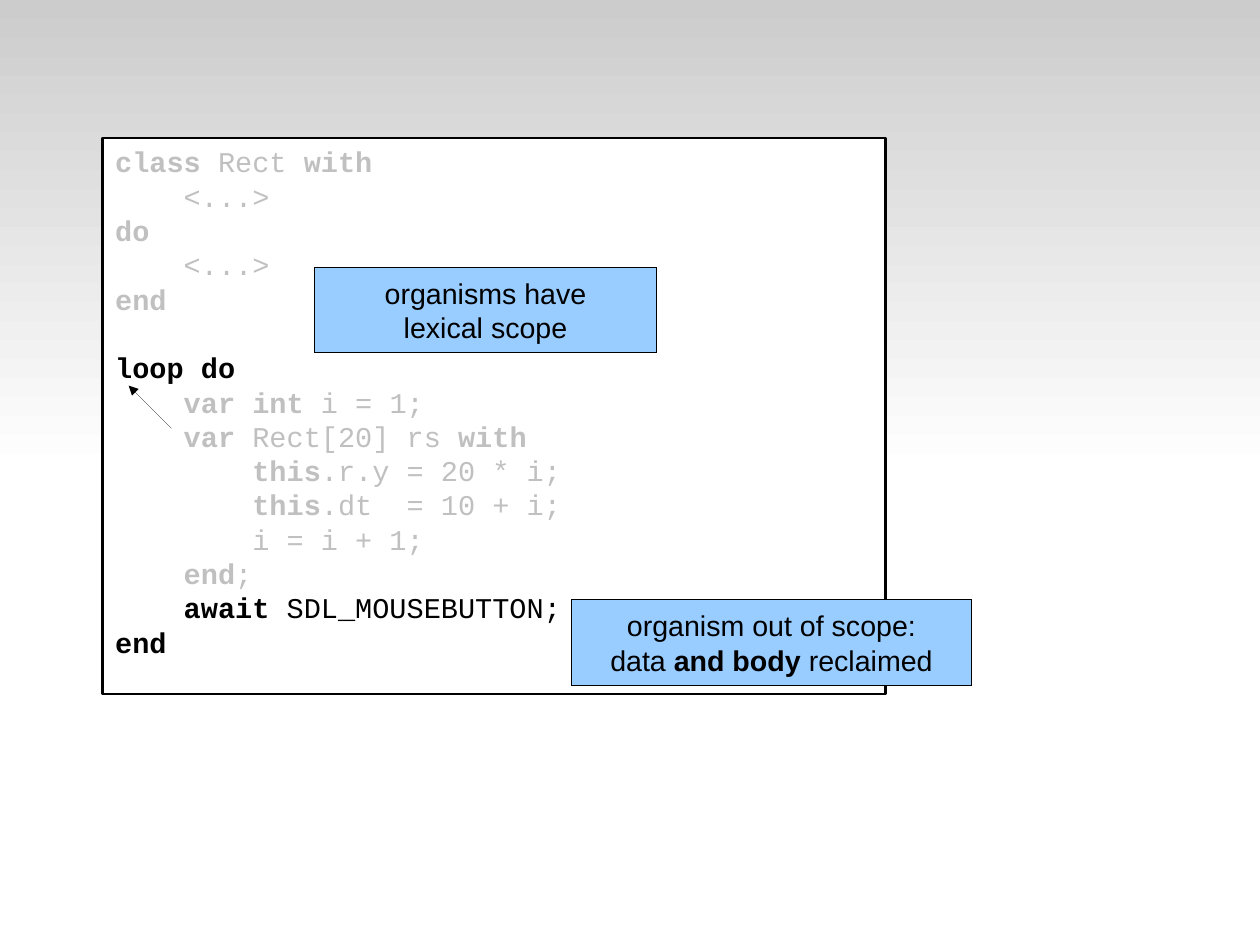
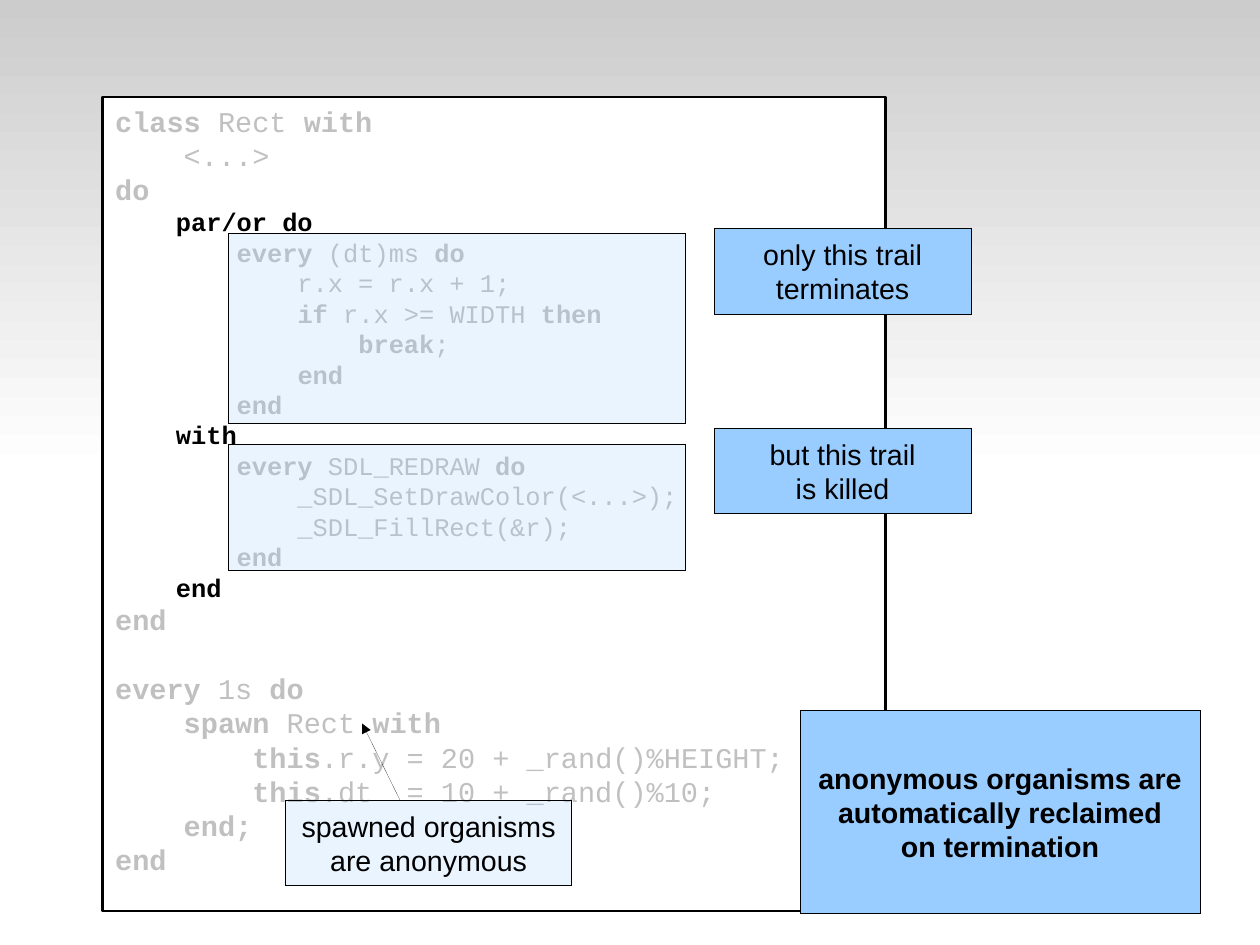
import pptx
import pptx.dml.color
import pptx.enum.shapes
import pptx.enum.text
import pptx.oxml
import pptx.oxml.ns
import pptx.util

PX = 3600  # EMU in one px, ten px to the millimetre
SLIDE_WIDTH, SLIDE_HEIGHT = 2800, 2100

BLACK = pptx.dml.color.RGBColor(0x00, 0x00, 0x00)
WHITE = pptx.dml.color.RGBColor(0xFF, 0xFF, 0xFF)
BAND_GREY = pptx.dml.color.RGBColor(0xCC, 0xCC, 0xCC)
DIM_GREY = pptx.dml.color.RGBColor(0xC0, 0xC0, 0xC0)
SKY_BLUE = pptx.dml.color.RGBColor(0x99, 0xCC, 0xFF)

CODE_FONT, NOTE_FONT = "Courier New", "Arial"
TEXT_SIZE, SMALL_SIZE = 18, 16
LINE_HEIGHT = 1.2
HAIRLINE = 0.01
FAINT = 20  # opacity in percent
PANEL_LEFT, PANEL_WIDTH = 228, 1740
NOTE_HEIGHT = 190

# Code blocks are (size, colour, text); words between bars are bold
RECT_SCOPE_CODE = [
    (TEXT_SIZE, DIM_GREY, """\
|class| Rect |with|
    <...>
|do|
    <...>
|end|
"""),
    (TEXT_SIZE, BLACK, """
|loop do|
"""),
    (TEXT_SIZE, DIM_GREY, """\
|    var int| i = 1;
|    var |Rect[20] rs |with|
        |this|.r.y = 20 * i;
        |this|.dt  = 10 + i;
        i = i + 1;
|    end|;
"""),
    (TEXT_SIZE, BLACK, """\
    |await |SDL_MOUSEBUTTON;
|end|
"""),
]

SPAWN_CODE = [
    (TEXT_SIZE, DIM_GREY, """\
|class| Rect |with|
    <...>
|do|
"""),
    (SMALL_SIZE, BLACK, "|    par/or do|"),
    (SMALL_SIZE, DIM_GREY, """\
|        every| (dt)ms |do|
            r.x = r.x + 1;
            |if| r.x >= WIDTH |then|
                |break|;
            |end|
|        end|
"""),
    (SMALL_SIZE, BLACK, "|    with|"),
    (SMALL_SIZE, DIM_GREY, """\
|        every| SDL_REDRAW| do|
            _SDL_SetDrawColor(<...>);
            _SDL_FillRect(&r);
|        end|
"""),
    (SMALL_SIZE, BLACK, "|    end|"),
    (TEXT_SIZE, DIM_GREY, """\
|end|

|every |1s| do|
|    spawn |Rect| with|
|        this|.r.y = 20 + _rand()%HEIGHT;
        |this|.dt  = 10 + _rand()%10;
    |end;|
|end|
"""),
]


def add_box(slide, box, colour, line_width=HAIRLINE, opacity=100):
    shape = slide.shapes.add_shape(
        pptx.enum.shapes.MSO_SHAPE.RECTANGLE, *(value * PX for value in box))
    shape.shadow.inherit = False
    shape.fill.solid()
    shape.fill.fore_color.rgb = colour
    shape.line.color.rgb = BLACK
    shape.line.width = pptx.util.Pt(line_width)
    if opacity < 100:
        color = shape.fill._xPr.find(".//" + pptx.oxml.ns.qn("a:srgbClr"))
        alpha = color.makeelement(pptx.oxml.ns.qn("a:alpha"), {"val": str(opacity * 1000)})
        color.append(alpha)
    return shape


def set_frame(shape, anchor, wrap, side, top):
    frame = shape.text_frame
    frame.auto_size = pptx.enum.text.MSO_AUTO_SIZE.NONE
    frame.vertical_anchor = anchor
    frame.word_wrap = wrap
    frame.margin_left = frame.margin_right = side * PX
    frame.margin_top = frame.margin_bottom = top * PX
    return frame


def fill_line(paragraph, text, size, font_name, colour, alignment):
    paragraph.alignment = alignment
    paragraph.line_spacing = pptx.util.Pt(size * LINE_HEIGHT)
    for index, part in enumerate(text.split("|")):
        if part:
            run = paragraph.add_run()
            run.text = part
            run.font.name = font_name
            run.font.size = pptx.util.Pt(size)
            run.font.bold = index % 2 == 1
            run.font.color.rgb = colour


def next_paragraph(frame):
    first = frame.paragraphs[0]
    return frame.add_paragraph() if first.runs else first


def add_code_panel(slide, top, height, blocks):
    shape = add_box(slide, (PANEL_LEFT, top, PANEL_WIDTH, height), WHITE, line_width=1.45)
    frame = set_frame(shape, pptx.enum.text.MSO_ANCHOR.TOP, True, 28, 14)
    for size, colour, text in blocks:
        gap = 0
        for line in text.splitlines():
            if not line:
                gap = size * LINE_HEIGHT
                continue
            paragraph = next_paragraph(frame)
            fill_line(paragraph, line, size, CODE_FONT, colour,
                      pptx.enum.text.PP_ALIGN.LEFT)
            if gap:
                paragraph.space_before = pptx.util.Pt(gap)
            gap = 0


def add_callout(slide, box, lines, opacity=100):
    shape = add_box(slide, box, SKY_BLUE, opacity=opacity)
    frame = set_frame(shape, pptx.enum.text.MSO_ANCHOR.MIDDLE, False, 25, 13)
    for line in lines:
        fill_line(next_paragraph(frame), line, TEXT_SIZE, NOTE_FONT, BLACK,
                  pptx.enum.text.PP_ALIGN.CENTER)


def add_arrow(slide, start, end):
    connector = slide.shapes.add_connector(
        pptx.enum.shapes.MSO_CONNECTOR.STRAIGHT,
        *(value * PX for value in start + end))
    connector.line.color.rgb = BLACK
    connector.line.width = pptx.util.Pt(HAIRLINE)
    line = connector.line._get_or_add_ln()
    line.append(line.makeelement(pptx.oxml.ns.qn("a:tailEnd"), {"type": "triangle"}))
    properties = connector._element.spPr
    properties.append(properties.makeelement(pptx.oxml.ns.qn("a:effectLst"), {}))


def add_slide(presentation):
    """Add a blank slide with the shared grey band fading downwards."""
    slide = presentation.slides.add_slide(presentation.slide_layouts[6])
    band = add_box(slide, (0, 0, SLIDE_WIDTH, SLIDE_HEIGHT // 2), WHITE)
    band.line.fill.background()
    band.fill.gradient()
    band.fill.gradient_angle = 270
    for stop, position, colour in zip(band.fill.gradient_stops, (0, 1), (BAND_GREY, WHITE)):
        stop.position = position
        stop.color.rgb = colour
    return slide


def build_scope_slide(presentation):
    slide = add_slide(presentation)
    add_code_panel(slide, 307, 1236, RECT_SCOPE_CODE)
    add_callout(slide, (698, 594, 762, NOTE_HEIGHT), ["organisms have", "lexical scope"])
    add_arrow(slide, (381, 952), (286, 857))
    add_callout(slide, (1270, 1333, 889, NOTE_HEIGHT),
                ["organism out of scope:", "data |and body |reclaimed"])


def build_spawn_slide(presentation):
    slide = add_slide(presentation)
    add_code_panel(slide, 216, 1808, SPAWN_CODE)

    # Each trail is tinted and has its note on the right
    trails = [
        (518, 424, 508, ["only this trail", "terminates"]),
        (987, 282, 952, ["but this trail", "is killed"]),
    ]
    for top, height, note_top, lines in trails:
        add_box(slide, (508, top, 1016, height), SKY_BLUE, opacity=FAINT)
        add_callout(slide, (1587, note_top, 571, NOTE_HEIGHT), lines)

    # Conclusion and the note on spawning
    add_callout(slide, (1778, 1579, 889, 452),
                ["|anonymous organisms are|", "|automatically reclaimed|",
                 "|on termination|"])
    add_callout(slide, (635, 1778, 635, NOTE_HEIGHT),
                ["spawned organisms", "are anonymous"], opacity=FAINT)
    add_arrow(slide, (889, 1778), (805, 1608))


def main():
    presentation = pptx.Presentation()
    presentation.slide_width = SLIDE_WIDTH * PX
    presentation.slide_height = SLIDE_HEIGHT * PX
    build_scope_slide(presentation)
    build_spawn_slide(presentation)
    presentation.save("out.pptx")


if __name__ == "__main__":
    main()
